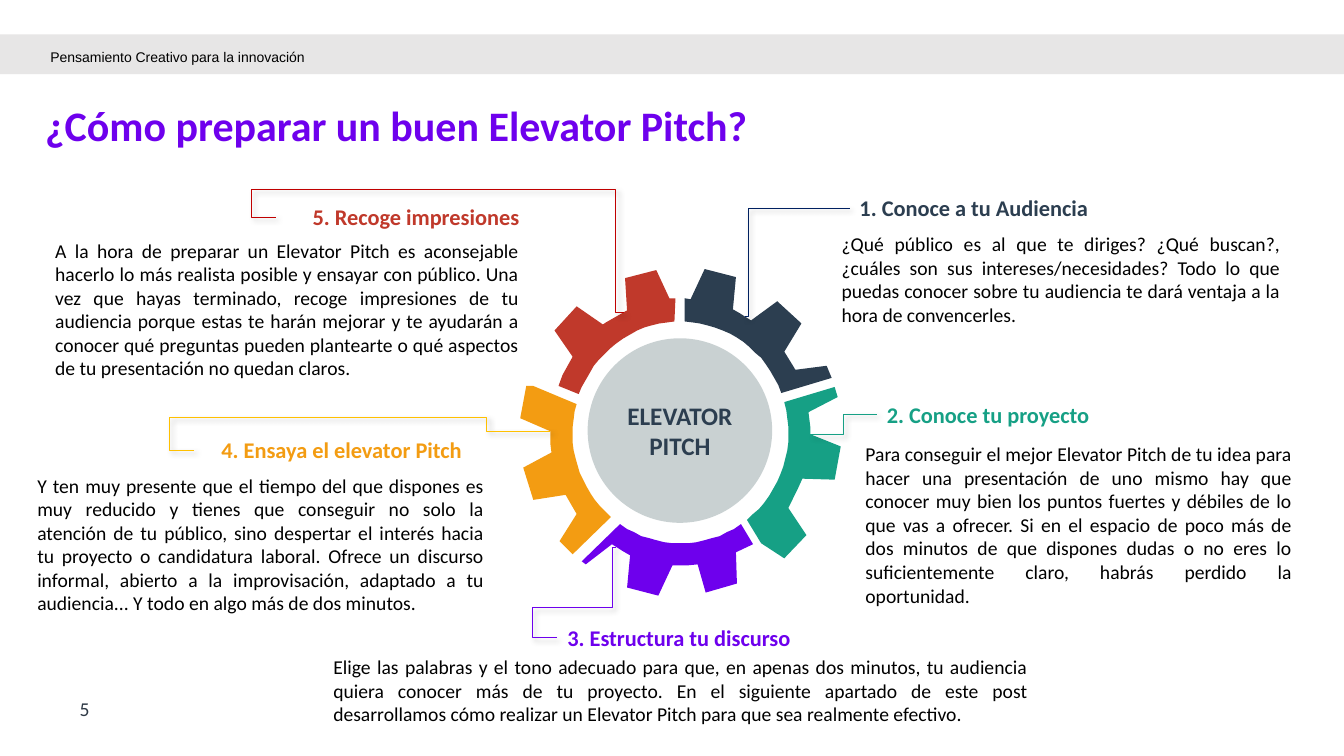
from math import cos, radians, sin

from lxml.etree import SubElement
from pptx import Presentation
from pptx.dml.color import RGBColor
from pptx.enum.shapes import MSO_CONNECTOR, MSO_SHAPE
from pptx.enum.text import MSO_ANCHOR, MSO_AUTO_SIZE, PP_ALIGN
from pptx.oxml.ns import qn
from pptx.util import Cm, Pt

NAVY, GREEN, PURPLE, ORANGE, RED = "2C3E50", "16A085", "6E00ED", "F39C12", "C0392B"
UNIT = Cm(2.54) / 100
RIM = 107, 110

GEAR = [
    (ORANGE, 130, 195, [
        (-146, -46), (-153, -46), (-159, -14), (-129, -1), (-129, 12), (-128, 20), (-156, 35),
        (-146, 67), (-114, 62), (-103, 81), (-120, 108), (-107, 121)]),
    (NAVY, 272, 339, [
        (150, -54), (145, -66), (114, -62), (111, -67), (103, -80), (120, -108), (96, -130),
        (70, -111), (59, -118), (52, -122), (55, -154), (24, -162), (10, -132), (4, -133)]),
    (RED, 200, 267, [
        (-5, -133), (-11, -133), (-24, -161), (-55, -153), (-53, -121), (-74, -109), (-77, -107),
        (-103, -125), (-125, -101), (-107, -75), (-117, -57), (-121, -46)]),
    (PURPLE, 56, 124, [
        (-98, 128), (-94, 131), (-68, 111), (-57, 118), (-50, 122), (-53, 154), (-22, 162),
        (-8, 132), (7, 132), (17, 131), (25, 159), (56, 150), (55, 119), (72, 111)]),
    (GREEN, -16, 52, [
        (80, 110), (103, 125), (125, 102), (107, 75), (116, 57), (121, 46), (153, 47),
        (159, 14), (129, 2), (129, -4), (127, -20), (156, -35), (153, -45)]),
]

STEPS = [
    dict(box=(20.96, 5.72, 11.56, 2.64), offset=(0.45, -0.94), width=7.09, color=NAVY,
         title="1. Conoce a tu Audiencia",
         body="¿Qué público es al que te diriges? ¿Qué buscan?, ¿cuáles son sus "
              "intereses/necesidades? Todo lo que puedas conocer sobre tu audiencia te dará "
              "ventaja a la hora de convencerles.",
         start=(18.77, 7.98), line="002060", bends=[3300]),
    dict(box=(21.56, 11.02, 11.25, 3.84), offset=(0.54, -1.04), width=6.45, color=GREEN,
         title="2. Conoce tu proyecto",
         body="Para conseguir el mejor Elevator Pitch de tu idea para hacer una presentación de "
              "uno mismo hay que conocer muy bien los puntos fuertes y débiles de lo que vas a "
              "ofrecer. Si en el espacio de poco más de dos minutos de que dispones dudas o no "
              "eres lo suficientemente claro, habrás perdido la oportunidad.",
         start=(20.42, 10.95), line=GREEN, bends=[50000]),
    dict(box=(8.15, 16.38, 18.01, 2.06), offset=(5.9, -0.78), width=6.25, color=PURPLE,
         title="3. Estructura tu discurso", wrap=False,
         body="Elige las palabras y el tono adecuado para que, en apenas dos minutos, tu "
              "audiencia quiera conocer más de tu proyecto. En el siguiente apartado de este "
              "post desarrollamos cómo realizar un Elevator Pitch para que sea realmente "
              "efectivo.",
         start=(15.52, 13.79), line=PURPLE, bends=[6100, 66800, 142500]),
    dict(box=(0.69, 11.81, 11.76, 3.84), offset=(4.21, -0.94), width=6.99, color=ORANGE,
         title="4. Ensaya el elevator Pitch", align=PP_ALIGN.RIGHT,
         body="Y ten muy presente que el tiempo del que dispones es muy reducido y tienes que "
              "conseguir no solo la atención de tu público, sino despertar el interés hacia tu "
              "proyecto o candidatura laboral. Ofrece un discurso informal, abierto a la "
              "improvisación, adaptado a tu audiencia... Y todo en algo más de dos minutos.",
         start=(13.87, 10.87), line="FFC000", bends=[18000, -73500, 107100]),
    dict(box=(1.14, 5.89, 12.19, 3.84), offset=(5.82, -0.89), width=6.38, color=RED,
         title="5. Recoge impresiones", align=PP_ALIGN.RIGHT,
         body="A la hora de preparar un Elevator Pitch es aconsejable hacerlo lo más realista "
              "posible y ensayar con público. Una vez que hayas terminado, recoge impresiones "
              "de tu audiencia porque estas te harán mejorar y te ayudarán a conocer qué "
              "preguntas pueden plantearte o qué aspectos de tu presentación no quedan claros.",
         start=(15.72, 7.87), line="C00000", bends=[2300, 128800, 107200]),
]


def rgb(color):
    return RGBColor.from_string(color)


def apply(obj, **fmt):
    for name, value in fmt.items():
        setattr(obj, name, value)


def paint(sp, color):
    sp.shadow.inherit = False
    sp.fill.solid()
    sp.fill.fore_color.rgb = rgb(color)
    sp.line.fill.background()


def write(sp, text, size, color, bold=False, font="Calibri", para=None, **frame):
    tf = sp.text_frame
    apply(tf, **{"word_wrap": True, **frame})
    p = tf.paragraphs[0]
    apply(p, **(para or {}))
    r = p.add_run()
    r.text = text
    apply(r.font, size=Pt(size), bold=bold, name=font)
    r.font.color.rgb = rgb(color)


def text_box(s, box, *args, **fmt):
    sp = s.shapes.add_textbox(*map(Cm, box))
    write(sp, *args, **fmt)
    return sp


def header(s, x, y, w, h):
    bar = s.shapes.add_shape(MSO_SHAPE.RECTANGLE, *map(Cm, (x, y, w, h)))
    paint(bar, "E7E6E6")
    flush = dict(margin_left=0, margin_right=0, margin_top=0, margin_bottom=0)
    text_box(s, (x + 1.27, y + 0.13, 10.41, 0.81), "Pensamiento Creativo para la innovación",
             10, "000000", font="Arial", para=dict(line_spacing=1.5), **flush)
    text_box(s, (x + 1.14, y + 1.8, 29.44, 1.32), "¿Cómo preparar un buen Elevator Pitch?",
             30, PURPLE, bold=True, para=dict(line_spacing=0.6),
             vertical_anchor=MSO_ANCHOR.MIDDLE, **flush)


def footer(s, x, y, w, h):
    text_box(s, (x, y, w, h), "5", 14, "2F3A46", para=dict(alignment=PP_ALIGN.CENTER),
             vertical_anchor=MSO_ANCHOR.MIDDLE)


def gear(s, x, y, w, h):
    cx, cy = x + w / 2, y + h / 2
    for color, first, last, teeth in GEAR:
        angles = [radians(first + (last - first) * i / 16) for i in range(17)]
        rim = [(RIM[0] * cos(a), RIM[1] * sin(a)) for a in angles]
        fb = s.shapes.build_freeform(*rim[0], scale=UNIT)
        fb.add_line_segments(rim[1:] + teeth, close=True)
        paint(fb.convert_to_shape(Cm(cx), Cm(cy)), color)
    hub = s.shapes.add_shape(MSO_SHAPE.OVAL, Cm(cx - 2.34), Cm(cy - 2.37), Cm(4.65), Cm(4.65))
    paint(hub, "95A5A6")
    clr = hub.fill._xPr.find(qn("a:solidFill"))[0]
    SubElement(clr, qn("a:alpha"), val="50000")
    write(hub, "ELEVATOR PITCH", 18, NAVY, bold=True, para=dict(alignment=PP_ALIGN.CENTER),
          vertical_anchor=MSO_ANCHOR.MIDDLE, margin_left=0, margin_right=0)


def bent_line(s, start, heading, color, bends):
    cn = s.shapes.add_connector(MSO_CONNECTOR.ELBOW, *map(Cm, start), heading.left, heading.top)
    cn.end_connect(heading, 1)
    cn.line.width = Pt(0.5)
    cn.line.color.rgb = rgb(color)
    spPr = cn._element.spPr
    geom = spPr.find(qn("a:prstGeom"))
    geom.set("prst", f"bentConnector{len(bends) + 2}")
    avLst = geom.find(qn("a:avLst"))
    for i, bend in enumerate(bends, 1):
        SubElement(avLst, qn("a:gd"), name=f"adj{i}", fmla=f"val {bend}")
    shadow = SubElement(SubElement(spPr, qn("a:effectLst")), qn("a:outerShdw"),
                        blurRad="50800", dist="38100", dir="2700000", algn="tl")
    clr = SubElement(shadow, qn("a:srgbClr"), val="000000")
    SubElement(clr, qn("a:alpha"), val="40000")


def step(s, box, offset, width, color, title, body, start, line, bends,
         align=PP_ALIGN.LEFT, wrap=True):
    fit = dict(auto_size=MSO_AUTO_SIZE.SHAPE_TO_FIT_TEXT)
    x, y = box[0] + offset[0], box[1] + offset[1]
    heading = text_box(s, (x, y, width, 0.94), title, 16, color, bold=True,
                       para=dict(alignment=align), word_wrap=wrap, **fit)
    text_box(s, box, body, 14, "000000", para=dict(alignment=PP_ALIGN.JUSTIFY), **fit)
    bent_line(s, start, heading, line, bends)


def main():
    prs = Presentation()
    apply(prs, slide_width=Cm(33.87), slide_height=Cm(19.05))
    s = prs.slides.add_slide(prs.slide_layouts[6])
    header(s, 0, 0.87, 33.87, 1)
    footer(s, 1.52, 17.32, 1.22, 1.09)
    gear(s, 13.11, 6.78, 8.08, 8.23)
    for item in STEPS:
        step(s, **item)
    prs.save("out.pptx")


if __name__ == "__main__":
    main()
